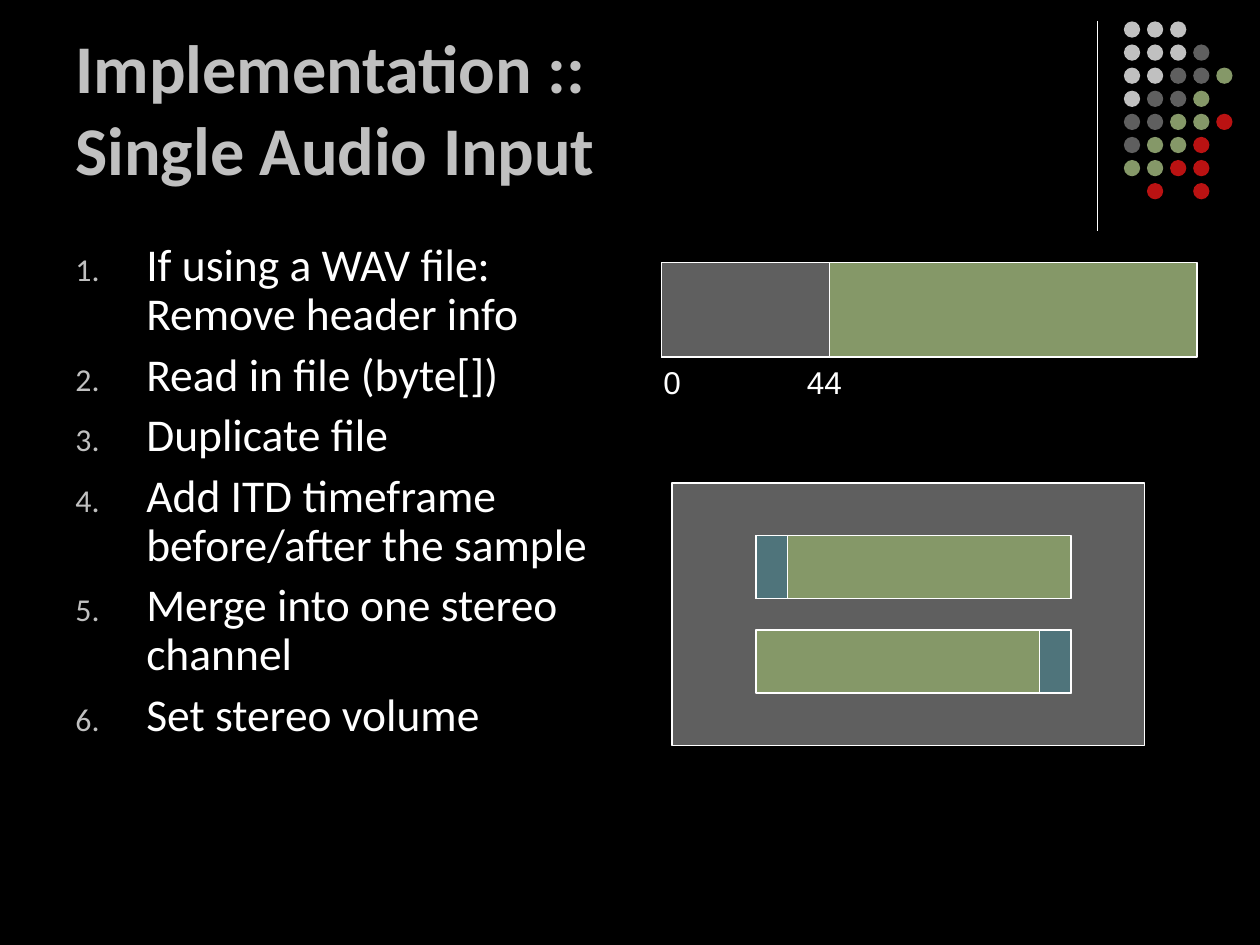
"""Build a slide on processing a single audio input into a stereo channel."""
from dataclasses import dataclass

from lxml import etree
from pptx import Presentation
from pptx.dml.color import RGBColor
from pptx.enum.shapes import MSO_CONNECTOR, MSO_SHAPE
from pptx.enum.text import MSO_ANCHOR
from pptx.oxml.ns import qn
from pptx.slide import Slide
from pptx.util import Pt

RECTANGLE = MSO_SHAPE.RECTANGLE
ELLIPSE = MSO_SHAPE.OVAL
STRAIGHT = MSO_CONNECTOR.STRAIGHT
TOP, BOTTOM = MSO_ANCHOR.TOP, MSO_ANCHOR.BOTTOM


@dataclass(frozen=True)
class Theme:
    background: str = "000000"
    white: str = "FFFFFF"
    silver: str = "C0C0C0"
    gray: str = "5F5F5F"
    green: str = "859868"
    red: str = "BA1212"
    teal: str = "4F747B"
    heading_font: str = "Calibri"
    label_font: str = "Arial"
    title_size: float = 39
    step_size: float = 26
    label_size: float = 18
    outline: float = 0.75


@dataclass(frozen=True)
class Block:
    left: float
    top: float
    width: float
    height: float
    color: str


@dataclass(frozen=True)
class Passage:
    left: float
    top: float
    width: float
    height: float
    paragraphs: tuple[str, ...]
    color: str
    font: dict
    spacing: dict
    anchor: int = TOP
    numbered: bool = False
    tab_stop: float = 0


THEME = Theme()

DOT_ROWS = ("LLL", "LLLD", "LLDDG", "LDDG", "DDGGR", "DGGR", "GGRR", " R R")
DOT_COLORS = {"L": THEME.silver, "D": THEME.gray, "G": THEME.green, "R": THEME.red}
DOT_LEFT, DOT_TOP, DOT_SIZE, DOT_PITCH = 642.24, 12.24, 9.3, 13.2
DIVIDER_X, DIVIDER_TOP, DIVIDER_BOTTOM = 627, 12, 132

STEP_INDENT = 40.5
CHANNEL_LEFT, CHANNEL_WIDTH, CHANNEL_HEIGHT = 432, 180, 36
DELAY_WIDTH = 18
LEADING_TOP, TRAILING_TOP = 306, 360

STEREO_FRAME = Block(384, 276, 270, 150, THEME.gray)
WAV_BLOCKS = (
    Block(378, 150, 306, 54, THEME.green),
    Block(378, 150, 96, 54, THEME.gray),
)
CHANNEL_BLOCKS = tuple(
    Block(CHANNEL_LEFT, top, CHANNEL_WIDTH, CHANNEL_HEIGHT, THEME.green)
    for top in (LEADING_TOP, TRAILING_TOP)
)
DELAY_BLOCKS = (
    Block(CHANNEL_LEFT, LEADING_TOP, DELAY_WIDTH, CHANNEL_HEIGHT, THEME.teal),
    Block(CHANNEL_LEFT + CHANNEL_WIDTH - DELAY_WIDTH, TRAILING_TOP,
          DELAY_WIDTH, CHANNEL_HEIGHT, THEME.teal),
)

TITLE = Passage(
    36, 9.36, 594, 102.24, ("Implementation ::\nSingle Audio Input",), THEME.silver,
    {"name": THEME.heading_font, "size": Pt(THEME.title_size), "bold": True},
    {}, anchor=BOTTOM,
)
STEPS = Passage(
    36, 135, 317.5, 347,
    (
        "If using a WAV file: Remove header info",
        "Read in file (byte[])",
        "Duplicate file",
        "Add ITD timeframe before/after the sample",
        "Merge into one stereo channel",
        "Set stereo volume",
    ),
    THEME.white,
    {"name": THEME.heading_font, "size": Pt(THEME.step_size)},
    {"line_spacing": 0.9, "space_before": Pt(6.5)}, numbered=True,
)
BYTE_OFFSETS = Passage(
    372, 204, 138, 28.8, ("0\t44",), THEME.white,
    {"name": THEME.label_font, "size": Pt(THEME.label_size)},
    {"space_before": Pt(11.2)}, tab_stop=82,
)


def rgb(color: str) -> RGBColor:
    return RGBColor.from_string(color)


def draw_block(slide: Slide, block: Block, geometry: int = RECTANGLE,
               outlined: bool = True) -> None:
    shape = slide.shapes.add_shape(
        geometry, Pt(block.left), Pt(block.top), Pt(block.width), Pt(block.height))
    shape.shadow.inherit = False
    shape.fill.solid()
    shape.fill.fore_color.rgb = rgb(block.color)
    if outlined:
        shape.line.color.rgb = rgb(THEME.white)
        shape.line.width = Pt(THEME.outline)
    else:
        shape.line.fill.background()


def draw_dots(slide: Slide) -> None:
    for row, codes in enumerate(DOT_ROWS):
        for column, code in enumerate(codes):
            if code in DOT_COLORS:
                dot = Block(DOT_LEFT + column * DOT_PITCH, DOT_TOP + row * DOT_PITCH,
                            DOT_SIZE, DOT_SIZE, DOT_COLORS[code])
                draw_block(slide, dot, ELLIPSE, outlined=False)


def draw_divider(slide: Slide) -> None:
    divider = slide.shapes.add_connector(
        STRAIGHT, Pt(DIVIDER_X), Pt(DIVIDER_TOP), Pt(DIVIDER_X), Pt(DIVIDER_BOTTOM))
    divider.line.color.rgb = rgb(THEME.white)
    divider.line.width = Pt(THEME.outline)
    etree.SubElement(divider.element.spPr, qn("a:effectLst"))


def add_numbering(properties: etree.ElementBase) -> None:
    properties.set("marL", str(Pt(STEP_INDENT)))
    properties.set("indent", str(-Pt(STEP_INDENT)))
    bullet_color = etree.SubElement(properties, qn("a:buClr"))
    etree.SubElement(bullet_color, qn("a:srgbClr"), val=THEME.silver)
    etree.SubElement(properties, qn("a:buSzPct"), val="70000")
    etree.SubElement(properties, qn("a:buAutoNum"), type="arabicPeriod")


def add_tab_stop(properties: etree.ElementBase, position: float) -> None:
    stops = etree.SubElement(properties, qn("a:tabLst"))
    etree.SubElement(stops, qn("a:tab"), pos=str(Pt(position)), algn="l")


def write_passage(slide: Slide, passage: Passage) -> None:
    frame = slide.shapes.add_textbox(
        Pt(passage.left), Pt(passage.top), Pt(passage.width), Pt(passage.height)).text_frame
    frame.word_wrap = True
    frame.vertical_anchor = passage.anchor
    for index, wording in enumerate(passage.paragraphs):
        paragraph = frame.add_paragraph() if index else frame.paragraphs[0]
        paragraph.text = wording.replace("\n", "\v")
        for attribute, value in passage.spacing.items():
            setattr(paragraph, attribute, value)
        properties = paragraph._p.get_or_add_pPr()
        if passage.numbered:
            add_numbering(properties)
        if passage.tab_stop:
            add_tab_stop(properties, passage.tab_stop)
        for run in paragraph.runs:
            for attribute, value in passage.font.items():
                setattr(run.font, attribute, value)
            run.font.color.rgb = rgb(passage.color)


def main() -> None:
    presentation = Presentation()
    presentation.slide_width, presentation.slide_height = Pt(720), Pt(540)
    slide = presentation.slides.add_slide(presentation.slide_layouts[6])
    slide.background.fill.solid()
    slide.background.fill.fore_color.rgb = rgb(THEME.background)
    draw_divider(slide)
    draw_dots(slide)
    draw_block(slide, STEREO_FRAME)
    for passage in (TITLE, STEPS, BYTE_OFFSETS):
        write_passage(slide, passage)
    for block in WAV_BLOCKS + CHANNEL_BLOCKS + DELAY_BLOCKS:
        draw_block(slide, block)
    presentation.save("out.pptx")


if __name__ == "__main__":
    main()
